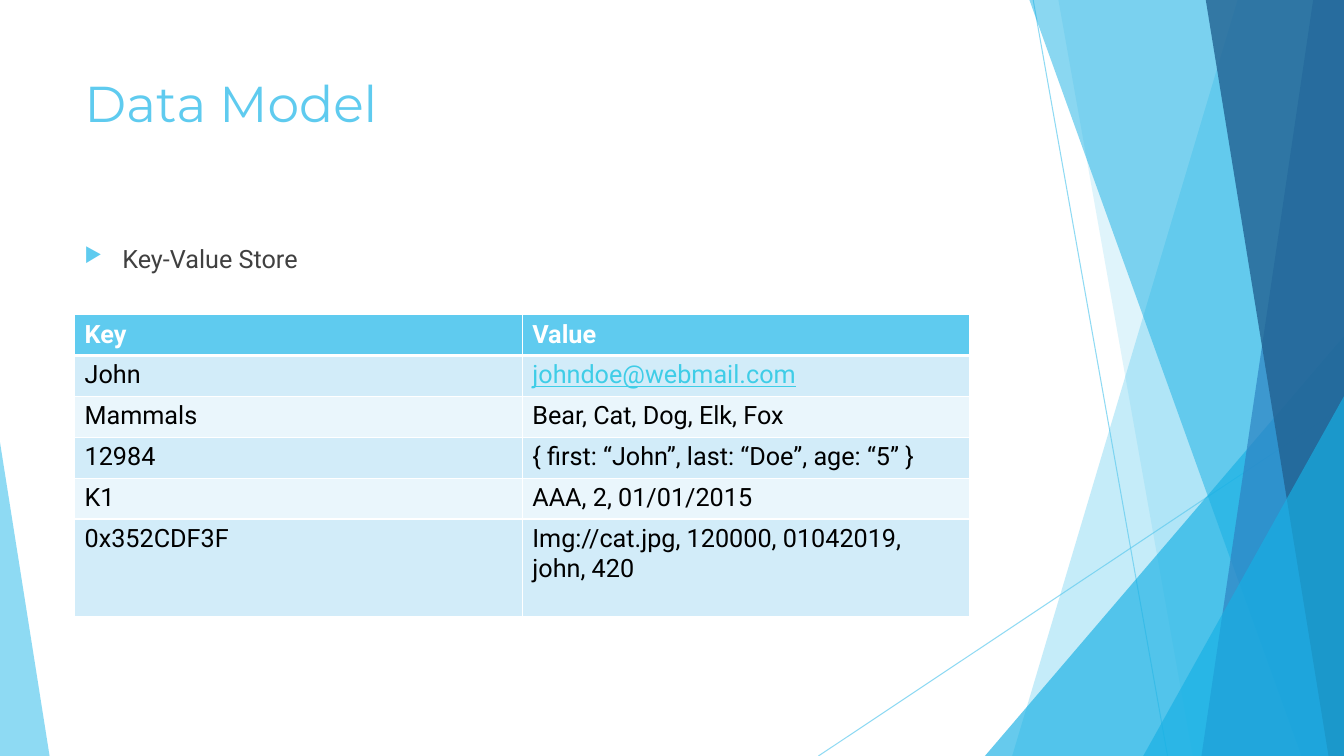
from lxml import etree
from pptx import Presentation
from pptx import util as u
from pptx.dml.color import RGBColor
from pptx.enum import shapes, text
from pptx.oxml.ns import qn

Pt = u.Pt

# Content
TITLE = "Data Model"
BULLET = "Key-Value Store"
ROWS = [
    ("Key", "Value"),
    ("John", "johndoe@webmail.com"),
    ("Mammals", "Bear, Cat, Dog, Elk, Fox"),
    ("12984", "{ first: “John”, last: “Doe”, age: “5” }"),
    ("K1", "AAA, 2, 01/01/2015"),
    ("0x352CDF3F", "Img://cat.jpg, 120000, 01042019, john, 420"),
]
LINK_CELL = (1, 1)


class Theme:
    sky, cyan, blue, navy = "5FCBEF", "17B0E4", "2E83C3", "226292"
    white, black, body, link = "FFFFFF", "000000", "404040", "3FCDE7"
    bands = ("EAF6FC", "D2ECF9")
    head_font, body_font = "Montserrat", "Roboto"
    title_size, body_size = 36, 18


# Geometry in points
W, H = 960, 540
LEFT, TEXT_W = 53.3, 676.8
TABLE_TOP, COL_W = 224.8, 319.8
ROW_H, LAST_ROW_H = 29.2, 70

# Decoration, back to front
LINES = [((738, 0), (834, H)), ((W, 290), (584.6, H))]
# band: top x, bottom x (each runs to the right edge), colour, opacity
# wedge: left, top, width, apex position, colour, opacity
DECOR = [
    ("band", (884, 723), Theme.sky, 36),
    ("band", (756, 852), Theme.sky, 20),
    ("wedge", (703.5, 240, W - 703.5, 1), Theme.cyan, 66),
    ("band", (735.3, 929.5), Theme.cyan, 50),
    ("band", (938, 858.2), Theme.blue, 70),
    ("band", (861.3, 949), Theme.navy, 80),
    ("wedge", (816.6, 283, W - 816.6, 1), Theme.cyan, 66),
    ("wedge", (0, 316, 35.4, 0), Theme.sky, 70),
]


def rgb(c):
    return RGBColor.from_string(c)


def sub(parent, tag, **attrs):
    return etree.SubElement(parent, qn(tag), attrs)


def set_alpha(parent, percent):
    for clr in parent.iter(qn("a:srgbClr")):
        sub(clr, "a:alpha", val=str(percent * 1000))


def add_run(p, words, size, font, color, bold=False, underline=False):
    r = p.add_run()
    r.text = words
    f = r.font
    f.size, f.name, f.bold, f.underline = Pt(size), font, bold, underline
    f.color.rgb = rgb(color)


def add_line(s, start, end):
    c = s.shapes.add_connector(shapes.MSO_CONNECTOR.STRAIGHT,
                               *(Pt(v) for v in start + end))
    c.line.width = Pt(0.75)
    c.line.color.rgb = rgb(Theme.sky)
    sppr = c._element.spPr
    set_alpha(sppr, 70)
    sub(sppr, "a:effectLst")


def add_decor(s, kind, geometry, color, opacity):
    if kind == "band":
        top_x, bottom_x = geometry
        fb = s.shapes.build_freeform(Pt(top_x), 0, 1.0)
        corners = [(W, 0), (W, H), (bottom_x, H)]
        fb.add_line_segments([(Pt(x), Pt(y)) for x, y in corners], close=True)
        sp = fb.convert_to_shape()
    else:
        x, y, w, apex = geometry
        sp = s.shapes.add_shape(shapes.MSO_SHAPE.ISOSCELES_TRIANGLE,
                                Pt(x), Pt(y), Pt(w), Pt(H - y))
        sp.adjustments[0] = apex
    sp.shadow.inherit = False
    sp.fill.solid()
    sp.fill.fore_color.rgb = rgb(color)
    set_alpha(sp._element.spPr, opacity)
    sp.line.fill.background()


def add_title(s):
    sp = s.shapes.title
    s.shapes._spTree.append(sp._element)  # bring in front of the decoration
    sp.left, sp.top, sp.width, sp.height = Pt(LEFT), Pt(48), Pt(TEXT_W), Pt(104)
    tf = sp.text_frame
    tf.vertical_anchor = text.MSO_ANCHOR.TOP
    tf.auto_size = text.MSO_AUTO_SIZE.NONE
    p = tf.paragraphs[0]
    p.alignment = text.PP_ALIGN.LEFT
    add_run(p, TITLE, Theme.title_size, Theme.head_font, Theme.sky)


def add_bullet(s):
    tf = s.shapes.add_textbox(Pt(LEFT), Pt(170), Pt(TEXT_W), Pt(305)).text_frame
    tf.word_wrap = True
    p = tf.paragraphs[0]
    ppr = p._p.get_or_add_pPr()
    ppr.set("marL", str(Pt(27)))
    ppr.set("indent", str(-Pt(27)))
    sub(sub(ppr, "a:buClr"), "a:srgbClr", val=Theme.sky)
    sub(ppr, "a:buSzPct", val="80000")
    sub(ppr, "a:buChar", char="▶")
    add_run(p, BULLET, Theme.body_size, Theme.body_font, Theme.body)


def add_borders(cell, row):
    tcpr = cell._tc.get_or_add_tcPr()
    for side in "LRTB":
        thick = (side == "B" and row == 0) or (side == "T" and row == 1)
        ln = sub(tcpr, "a:ln" + side, w=str(Pt(3 if thick else 1)))
        sub(sub(ln, "a:solidFill"), "a:srgbClr", val=Theme.white)


def add_store_table(s):
    heights = [ROW_H] * (len(ROWS) - 1) + [LAST_ROW_H]
    tbl = s.shapes.add_table(len(ROWS), 2, Pt(LEFT), Pt(TABLE_TOP),
                             Pt(2 * COL_W), Pt(sum(heights))).table
    for col in tbl.columns:
        col.width = Pt(COL_W)
    for i, row in enumerate(ROWS):
        tbl.rows[i].height = Pt(heights[i])
        for j, words in enumerate(row):
            head, link = i == 0, (i, j) == LINK_CELL
            cell = tbl.cell(i, j)
            add_borders(cell, i)
            cell.fill.solid()
            cell.fill.fore_color.rgb = rgb(Theme.sky if head else Theme.bands[i % 2])
            color = Theme.white if head else Theme.link if link else Theme.black
            add_run(cell.text_frame.paragraphs[0], words, Theme.body_size,
                    Theme.body_font, color, bold=head, underline=link)


def main():
    prs = Presentation()
    prs.slide_width, prs.slide_height = Pt(W), Pt(H)
    s = prs.slides.add_slide(prs.slide_layouts[5])
    for start, end in LINES:
        add_line(s, start, end)
    for part in DECOR:
        add_decor(s, *part)
    add_title(s)
    add_bullet(s)
    add_store_table(s)
    prs.save("out.pptx")


if __name__ == "__main__":
    main()
